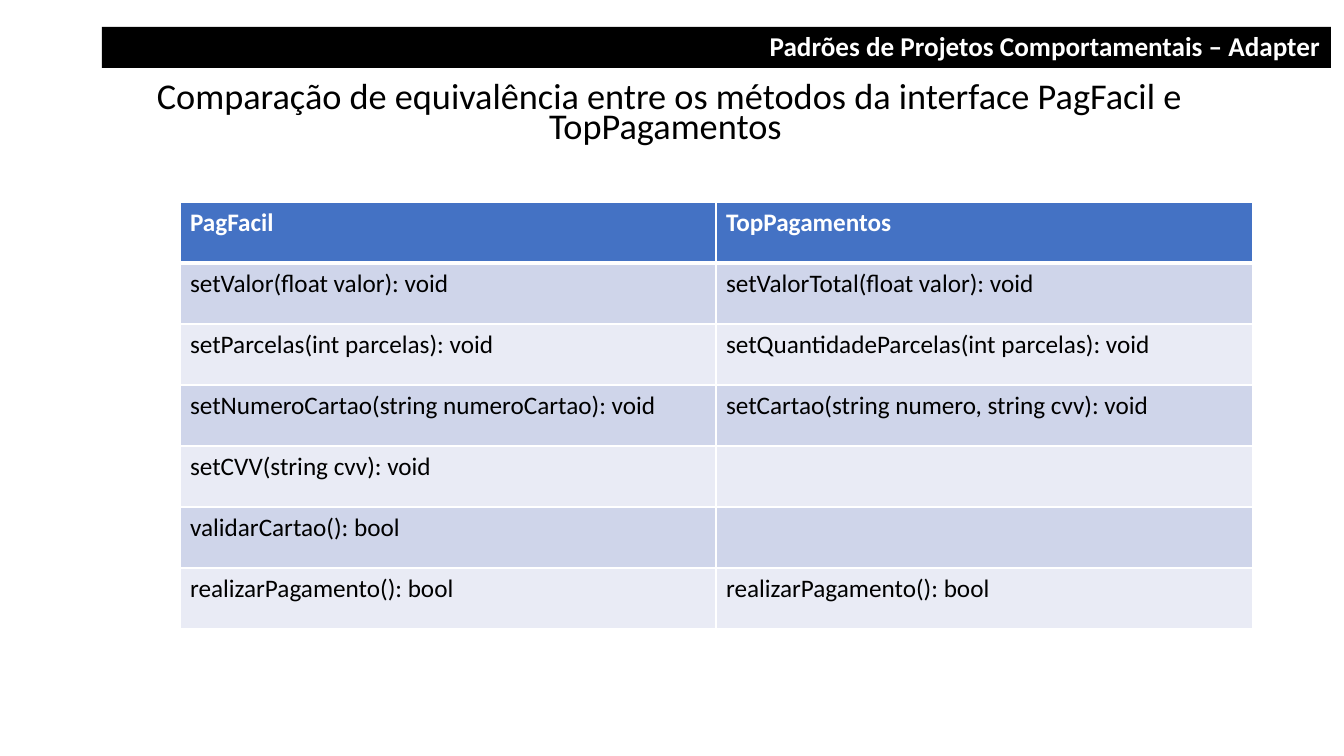
from lxml import etree
from pptx import Presentation
from pptx.dml.color import RGBColor
from pptx.enum.text import MSO_ANCHOR, MSO_AUTO_SIZE, PP_ALIGN
from pptx.oxml.ns import qn
from pptx.util import Pt

CENTER, RIGHT = PP_ALIGN.CENTER, PP_ALIGN.RIGHT
MIDDLE, TOP = MSO_ANCHOR.MIDDLE, MSO_ANCHOR.TOP
NO_FIT = MSO_AUTO_SIZE.NONE
PX = 914400 / 100.8


def px(n):
    return round(n * PX)


def paint(target, color):
    """Fill a shape or cell, or colour a font."""
    if hasattr(target, "fill") and not hasattr(target, "bold"):
        target.fill.solid()
        target.fill.fore_color.rgb = RGBColor.from_string(color)
    else:
        target.color.rgb = RGBColor.from_string(color)


prs = Presentation()
prs.slide_width, prs.slide_height = px(1344), px(756)
slide = prs.slides.add_slide(prs.slide_layouts[1])
bar, head = slide.shapes.title, slide.placeholders[1]

# Title bar and heading
parts = [
    (bar, (102, 27, 1229, 41), "Padrões de Projetos Comportamentais – Adapter",
     19.4, True, "FFFFFF", RIGHT, MIDDLE, 0.9),
    (head, (124, 80, 1091, 80),
     "Comparação de equivalência entre os métodos da interface PagFacil e TopPagamentos ",
     25.9, False, "000000", CENTER, TOP, 0.7),
]
for shape, box, text, size, bold, color, align, anchor, space in parts:
    shape.left, shape.top, shape.width, shape.height = map(px, box)
    frame = shape.text_frame
    frame.text = text
    frame.word_wrap = True
    frame.auto_size = NO_FIT
    frame.vertical_anchor = anchor
    para = frame.paragraphs[0]
    para.alignment = align
    para.line_spacing = space
    para.space_before = Pt(0)
    font = para.runs[0].font
    font.name, font.size, font.bold = "Calibri", Pt(size), bold
    paint(font, color)
paint(bar, "000000")

# The heading has no bullet
props = head.text_frame.paragraphs[0]._p.get_or_add_pPr()
props.set("marL", "0")
props.set("indent", "0")
etree.SubElement(props, qn("a:buNone"))

# Table of matching methods
rows = [
    ("PagFacil", "TopPagamentos"),
    ("setValor(float valor): void", "setValorTotal(float valor): void"),
    ("setParcelas(int parcelas): void", "setQuantidadeParcelas(int parcelas): void"),
    ("setNumeroCartao(string numeroCartao): void",
     "setCartao(string numero, string cvv): void"),
    ("setCVV(string cvv): void", ""),
    ("validarCartao(): bool", ""),
    ("realizarPagamento(): bool", "realizarPagamento(): bool"),
]
table = slide.shapes.add_table(
    len(rows), 2, px(180), px(202), px(1073), px(61 * len(rows))).table
table.columns[0].width, table.columns[1].width = px(536), px(537)

for r, texts in enumerate(rows):
    table.rows[r].height = px(61)
    first = r == 0
    fill = "4472C4" if first else ("E9EBF5", "CFD5EA")[r % 2]
    for c, text in enumerate(texts):
        cell = table.cell(r, c)
        paint(cell, fill)
        cell.text = text
        for run in cell.text_frame.paragraphs[0].runs:
            font = run.font
            font.name, font.size, font.bold = "Calibri", Pt(18), first
            paint(font, "FFFFFF" if first else "000000")

        # White borders, thicker under the header
        thick = {"lnB": first, "lnT": r == 1}
        for i, side in enumerate(("lnL", "lnR", "lnT", "lnB")):
            line = etree.Element(qn("a:" + side), w=str(Pt(3 if thick.get(side) else 1)))
            solid = etree.SubElement(line, qn("a:solidFill"))
            etree.SubElement(solid, qn("a:srgbClr"), val="FFFFFF")
            cell._tc.get_or_add_tcPr().insert(i, line)

prs.save("out.pptx")
